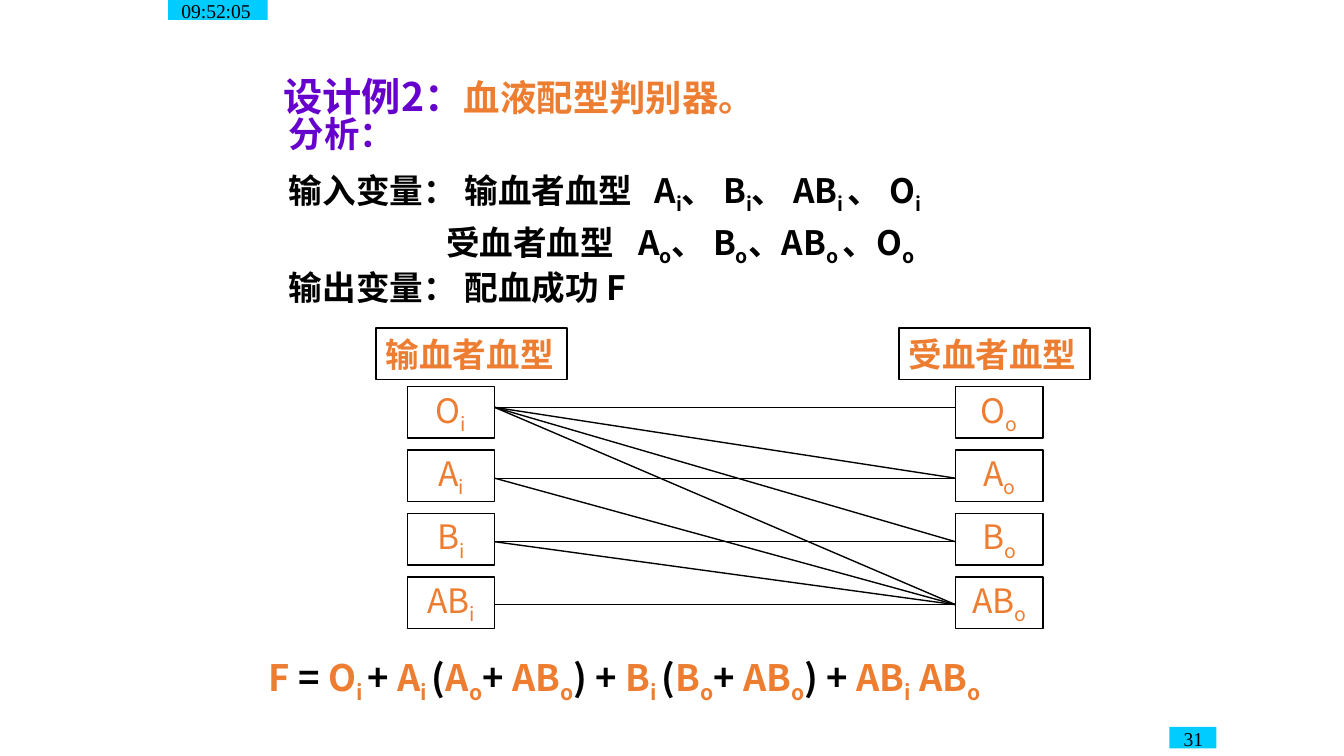
from dataclasses import dataclass
from itertools import groupby

from lxml import etree
from pptx import Presentation
from pptx.dml.color import RGBColor
from pptx.enum import shapes, text
from pptx.oxml import ns
from pptx.util import Cm, Pt

BLACK = RGBColor(0x00, 0x00, 0x00)
PURPLE = RGBColor(0x66, 0x00, 0xCC)
ORANGE = RGBColor(0xED, 0x7D, 0x31)
CYAN = RGBColor(0x00, 0xCC, 0xFF)
SANS = "Noto Sans CJK JP"
SERIF = "Times New Roman"
LEFT, CENTER, RIGHT = text.PP_ALIGN.LEFT, text.PP_ALIGN.CENTER, text.PP_ALIGN.RIGHT
TOP, MIDDLE = text.MSO_ANCHOR.TOP, text.MSO_ANCHOR.MIDDLE


@dataclass
class Box:
    """Left, top, width and height in centimetres."""
    left: float
    top: float
    width: float
    height: float

    def lengths(self) -> tuple:
        return Cm(self.left), Cm(self.top), Cm(self.width), Cm(self.height)


@dataclass
class Line:
    """One analysis line; |bars| enclose subscripts."""
    marked: str
    size: float = 18
    color: RGBColor = BLACK
    before: float = 0
    tabs: tuple = ()


@dataclass
class Stamp:
    words: str
    box: Box
    align: text.PP_ALIGN
    margins: tuple


@dataclass
class Side:
    """One column of the matching diagram."""
    header: str
    subscript: str
    header_left: float
    group_left: float


def set_font(paragraph, color: RGBColor, size: float, bold=False, name=SANS) -> None:
    font = paragraph.font
    font.size, font.bold, font.name = Pt(size), bold, name
    font.color.rgb = color
    east_asian = etree.SubElement(paragraph._p.pPr.find(ns.qn("a:defRPr")), ns.qn("a:ea"))
    east_asian.set("typeface", name)


def add_tabs(paragraph, stops: tuple) -> None:
    tab_list = etree.SubElement(paragraph._p.get_or_add_pPr(), ns.qn("a:tabLst"))
    for stop in stops:
        etree.SubElement(tab_list, ns.qn("a:tab"), pos=str(Cm(stop)), algn="l")


def add_marked(paragraph, marked: str, operators: str = "") -> None:
    """Write text with |subscripts|, colouring the given operators black."""
    for index, piece in enumerate(marked.split("|")):
        for is_operator, letters in groupby(piece, lambda letter: letter in operators):
            run = paragraph.add_run()
            run.text = "".join(letters)
            if is_operator:
                run.font.color.rgb = BLACK
            if index % 2:
                run._r.get_or_add_rPr().set("baseline", "-25000")


def set_frame(frame, anchor, margins=(0.25, 0.13, 0.25, 0.13)) -> None:
    frame.word_wrap = True
    frame.auto_size = text.MSO_AUTO_SIZE.NONE
    frame.vertical_anchor = anchor
    (frame.margin_left, frame.margin_top,
     frame.margin_right, frame.margin_bottom) = map(Cm, margins)


def add_rectangle(slide, box: Box):
    rectangle = slide.shapes.add_shape(shapes.MSO_SHAPE.RECTANGLE, *box.lengths())
    rectangle.shadow.inherit = False
    return rectangle


def add_stamp(slide, stamp: Stamp) -> None:
    rectangle = add_rectangle(slide, stamp.box)
    rectangle.fill.solid()
    rectangle.fill.fore_color.rgb = CYAN
    rectangle.line.fill.background()
    set_frame(rectangle.text_frame, TOP, stamp.margins)
    paragraph = rectangle.text_frame.paragraphs[0]
    paragraph.alignment = stamp.align
    set_font(paragraph, BLACK, 10.5, name=SERIF)
    add_marked(paragraph, stamp.words)


def add_label(slide, box: Box, marked: str, align, bold: bool) -> None:
    rectangle = add_rectangle(slide, box)
    rectangle.fill.background()
    rectangle.line.color.rgb, rectangle.line.width = BLACK, Pt(0.75)
    set_frame(rectangle.text_frame, MIDDLE, (0.18, 0.1, 0.18, 0.1))
    paragraph = rectangle.text_frame.paragraphs[0]
    paragraph.alignment = align
    set_font(paragraph, ORANGE, 18, bold)
    add_marked(paragraph, marked)


def add_match(slide, x1: float, y1: float, x2: float, y2: float) -> None:
    match = slide.shapes.add_connector(
        shapes.MSO_CONNECTOR.STRAIGHT, Cm(x1), Cm(y1), Cm(x2), Cm(y2))
    match.line.color.rgb, match.line.width = BLACK, Pt(0.75)
    etree.SubElement(match._element.spPr, ns.qn("a:effectLst"))


def add_title(slide) -> None:
    title = slide.shapes.title
    title.left, title.top, title.width, title.height = Box(5.11, 1.27, 14.94, 1.19).lengths()
    set_frame(title.text_frame, MIDDLE)
    paragraph = title.text_frame.paragraphs[0]
    paragraph.alignment, paragraph.line_spacing = LEFT, 0.9
    set_font(paragraph, PURPLE, 21, bold=True)
    for words, size, color in (("设计例2：", 21, PURPLE), ("血液配型判别器。", 19.5, ORANGE)):
        run = paragraph.add_run()
        run.text = words
        run.font.size, run.font.color.rgb = Pt(size), color


def add_analysis(slide, lines: list) -> None:
    frame = slide.shapes.add_textbox(*Box(5.21, 2.08, 16.21, 4.47).lengths()).text_frame
    set_frame(frame, TOP)
    for index, line in enumerate(lines):
        paragraph = frame.add_paragraph() if index else frame.paragraphs[0]
        if line.tabs:
            add_tabs(paragraph, line.tabs)
        paragraph.line_spacing, paragraph.space_before = 0.9, Pt(line.before)
        set_font(paragraph, line.color, line.size, bold=True)
        add_marked(paragraph, line.marked)


def add_diagram(slide) -> None:
    donor = Side("输血者血型", "i", 7.11, 7.7)
    recipient = Side("受血者血型", "o", 16.99, 18.06)
    groups = ("O", "A", "B", "AB")
    width, height, first_top, pitch = 1.65, 0.97, 7.31, 1.2
    for side in (donor, recipient):
        add_label(slide, Box(side.header_left, 6.2, 3.61, height), side.header, LEFT, True)
        for row, group in enumerate(groups):
            box = Box(side.group_left, first_top + row * pitch, width, height)
            add_label(slide, box, f"{group}|{side.subscript}|", CENTER, False)

    # Each donor group joins the recipients it can give to
    heights = dict(zip(groups, (7.7, 9.04, 10.24, 11.43)))
    matches = {"O": groups, "A": ("A", "AB"), "B": ("B", "AB"), "AB": ("AB",)}
    for giver, takers in matches.items():
        for taker in takers:
            add_match(slide, donor.group_left + width, heights[giver],
                      recipient.group_left, heights[taker])


def add_formula(slide) -> None:
    frame = slide.shapes.add_textbox(*Box(4.83, 12.14, 16.5, 1.24).lengths()).text_frame
    set_frame(frame, MIDDLE)
    paragraph = frame.paragraphs[0]
    paragraph.line_spacing = 1.2
    set_font(paragraph, ORANGE, 19.5, bold=True)
    add_marked(paragraph, "F = O|i |+ A|i |(A|o|+ AB|o|) + B|i |(B|o|+ AB|o|) + AB|i| AB|o|",
               operators="=+()")


def main() -> None:
    deck = Presentation()
    deck.slide_width, deck.slide_height = Cm(25.4), Cm(14.29)
    slide = deck.slides.add_slide(deck.slide_layouts[5])

    # Clock and page number
    add_stamp(slide, Stamp("09:52:05", Box(3.18, -0.05, 1.88, 0.43), LEFT, (0.25, 0.03, 0.25, 0.13)))
    add_stamp(slide, Stamp("31", Box(22.1, 13.74, 0.89, 0.41), RIGHT, (0.03, 0, 0.25, 0.13)))

    # Heading and analysis
    add_title(slide)
    add_analysis(slide, [
        Line("分析：", 19, PURPLE),
        Line("输入变量： 输血者血型\tA|i|、 B|i|、 AB|i |、 O|i|", before=8, tabs=(6.91,)),
        Line("\t受血者血型\tA|o|、 B|o|、AB|o |、O|o|", before=6, tabs=(2.97, 6.6)),
        Line("输出变量： 配血成功 F", before=4),
    ])

    # Matching diagram and resulting formula
    add_diagram(slide)
    add_formula(slide)
    deck.save("out.pptx")


if __name__ == "__main__":
    main()
